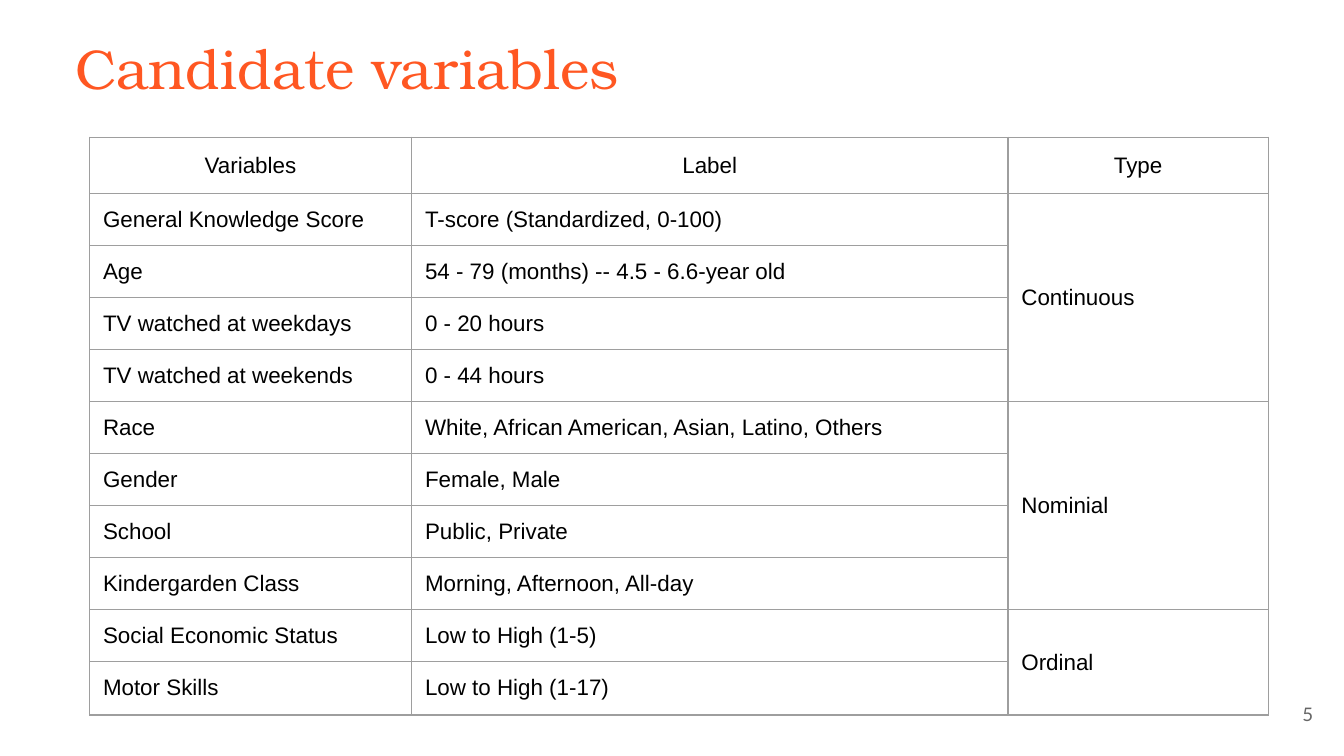
"""Build the slide that lists the candidate variables by type."""
from lxml import etree
from pptx import Presentation
from pptx.dml.color import RGBColor
from pptx.enum.text import MSO_ANCHOR, MSO_AUTO_SIZE, PP_ALIGN
from pptx.oxml.ns import qn
from pptx.util import Pt

LEFT, CENTER, RIGHT = PP_ALIGN.LEFT, PP_ALIGN.CENTER, PP_ALIGN.RIGHT
TOP, MIDDLE = MSO_ANCHOR.TOP, MSO_ANCHOR.MIDDLE
NO_AUTOFIT = MSO_AUTO_SIZE.NONE
TITLE_ONLY = 5

COLORS = {"title": "FF5722", "text": "000000", "border": "9E9E9E", "number": "666666"}
MARGIN = Pt(7.2)
COLUMN_WIDTHS = [172.5, 319.5, 139.5]
HEADER_HEIGHT, ROW_HEIGHT, LAST_HEIGHT = 30, 27.85, 28.8

HEADERS = ["Variables", "Label", "Type"]
GROUPS = [
    ("Continuous", [
        ("General Knowledge Score", "T-score (Standardized, 0-100)"),
        ("Age", "54 - 79 (months) -- 4.5 - 6.6-year old"),
        ("TV watched at weekdays", "0 - 20 hours"),
        ("TV watched at weekends", "0 - 44 hours"),
    ]),
    ("Nominial", [
        ("Race", "White, African American, Asian, Latino, Others"),
        ("Gender", "Female, Male"),
        ("School", "Public, Private"),
        ("Kindergarden Class", "Morning, Afternoon, All-day"),
    ]),
    ("Ordinal", [
        ("Social Economic Status", "Low to High (1-5)"),
        ("Motor Skills", "Low to High (1-17)"),
    ]),
]


def set_text(holder, text, font_name, size, color, alignment):
    """Write one formatted paragraph with even margins into a frame or cell."""
    holder.margin_left = holder.margin_right = MARGIN
    holder.margin_top = holder.margin_bottom = MARGIN
    frame = getattr(holder, "text_frame", holder)
    frame.text = text
    paragraph = frame.paragraphs[0]
    paragraph.alignment = alignment
    paragraph.font.name = font_name
    paragraph.font.size = Pt(size)
    paragraph.font.color.rgb = RGBColor.from_string(COLORS[color])


def add_title(slide, text):
    """Place and format the title placeholder."""
    title = slide.shapes.title
    title.left, title.top, title.width, title.height = Pt(33), Pt(10.8), Pt(662), Pt(43)
    frame = title.text_frame
    frame.auto_size = NO_AUTOFIT
    frame.vertical_anchor = TOP
    set_text(frame, text, "TeX Gyre Bonum", 30, "title", LEFT)


def add_page_number(slide, text):
    """Add the page number in the bottom right corner."""
    box = slide.shapes.add_textbox(Pt(667.5), Pt(367), Pt(43), Pt(31))
    frame = box.text_frame
    frame.word_wrap = True
    frame.vertical_anchor = MIDDLE
    set_text(frame, text, "Lato", 10, "number", RIGHT)


def set_borders(cell):
    """Draw a thin line on all four sides of a cell."""
    properties = cell._tc.get_or_add_tcPr()
    for index, side in enumerate(("a:lnL", "a:lnR", "a:lnT", "a:lnB")):
        line = etree.Element(qn(side), w=str(Pt(0.75)))
        fill = etree.SubElement(line, qn("a:solidFill"))
        etree.SubElement(fill, qn("a:srgbClr"), val=COLORS["border"])
        properties.insert(index, line)


def fill_cell(cell, text, alignment=LEFT):
    """Write the text of a table cell, centred vertically."""
    cell.vertical_anchor = MIDDLE
    set_text(cell, text, "Arial", 12, "text", alignment)


def add_variable_table(slide):
    """Add the table, with one merged type cell for each group."""
    heights = [HEADER_HEIGHT]
    heights += [ROW_HEIGHT] * (sum(len(rows) for _, rows in GROUPS) - 1) + [LAST_HEIGHT]
    frame = slide.shapes.add_table(
        len(heights), len(HEADERS), Pt(48), Pt(73.5),
        Pt(sum(COLUMN_WIDTHS)), Pt(sum(heights)))
    table = frame.table
    table.first_row = table.horz_banding = False
    for column, width in zip(table.columns, COLUMN_WIDTHS):
        column.width = Pt(width)
    for row, height in zip(table.rows, heights):
        row.height = Pt(height)
    for cell in table.iter_cells():
        cell.fill.background()
        set_borders(cell)
        fill_cell(cell, "")

    for column, header in enumerate(HEADERS):
        fill_cell(table.cell(0, column), header, CENTER)
    start = 1
    for group, rows in GROUPS:
        for offset, (variable, label) in enumerate(rows):
            fill_cell(table.cell(start + offset, 0), variable)
            fill_cell(table.cell(start + offset, 1), label)
        type_cell = table.cell(start, 2)
        type_cell.merge(table.cell(start + len(rows) - 1, 2))
        fill_cell(type_cell, group)
        start += len(rows)


def main():
    """Build and save the presentation."""
    presentation = Presentation()
    presentation.slide_width, presentation.slide_height = Pt(720), Pt(405)
    slide = presentation.slides.add_slide(presentation.slide_layouts[TITLE_ONLY])
    add_title(slide, "Candidate variables")
    add_variable_table(slide)
    add_page_number(slide, "5")
    presentation.save("out.pptx")


if __name__ == "__main__":
    main()
